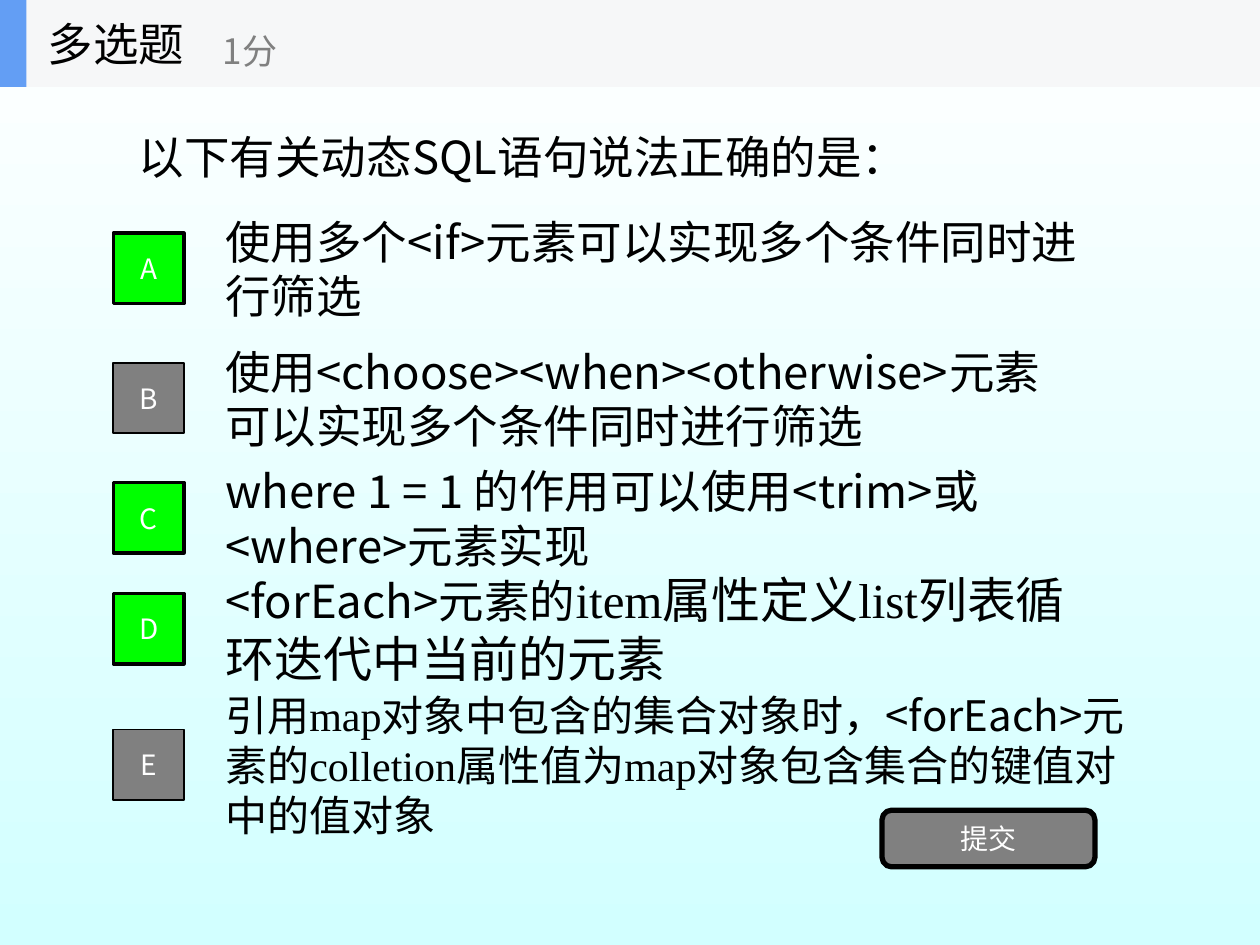
"""Build a multiple-choice question slide about dynamic SQL."""
from dataclasses import dataclass

import pptx
import pptx.dml.color
import pptx.enum.shapes
import pptx.enum.text
import pptx.oxml
import pptx.oxml.ns
import pptx.util

PX = 9144
SANS = "Noto Sans CJK SC"
SERIF = "Times New Roman"
COLOURS = {
    "black": "000000",
    "white": "FFFFFF",
    "aqua": "D2FFFF",
    "green": "00FF00",
    "grey": "808080",
    "header": "F6F7F8",
    "accent": "639EF4",
}
ALIGN = pptx.enum.text.PP_ALIGN
SHAPES = pptx.enum.shapes.MSO_SHAPE


@dataclass(frozen=True)
class Area:
    left: int
    top: int
    width: int
    height: int

    def emu(self) -> list[int]:
        return [value * PX for value in (self.left, self.top, self.width, self.height)]


@dataclass(frozen=True)
class Span:
    text: str
    size: int = 26
    font: str = SANS
    colour: str = "black"


@dataclass(frozen=True)
class Option:
    letter: str
    top: int
    correct: bool
    spans: tuple[Span, ...]
    width: int = 700


OPTIONS = (
    Option("A", 178, True, (Span("使用多个<if>元素可以实现多个条件同时进行筛选"),)),
    Option("B", 281, False, (
        Span("使用<choose><when><otherwise>元素可以实现多个条件同时进行筛选"),
    )),
    Option("C", 376, True, (Span("where 1 = 1 的作用可以使用<trim>或<where>元素实现"),)),
    Option("D", 464, True, (
        Span("<forEach>元素的"),
        Span("item属性定义list列表循环迭代中当前的元素", 28, SERIF),
    )),
    Option("E", 572, False, (
        Span("引用map对象中包含的集合对象时，", 24, SERIF),
        Span("<forEach>元素的", 24),
        Span("colletion属性值为map对象包含集合的键值对中的值对象", 24, SERIF),
    ), 757),
)


def rgb(name: str) -> pptx.dml.color.RGBColor:
    return pptx.dml.color.RGBColor.from_string(COLOURS[name])


def write(shape, spans: tuple[Span, ...], align=ALIGN.LEFT) -> None:
    frame = shape.text_frame
    frame.word_wrap = True
    frame.auto_size = pptx.enum.text.MSO_AUTO_SIZE.NONE
    frame.vertical_anchor = pptx.enum.text.MSO_ANCHOR.MIDDLE
    para = frame.paragraphs[0]
    para.alignment = align
    for span in spans:
        run = para.add_run()
        run.text = span.text
        run.font.size = pptx.util.Pt(span.size)
        run.font.color.rgb = rgb(span.colour)
        run.font.name = span.font
        east_asian = pptx.oxml.parse_xml(
            f'<a:ea {pptx.oxml.ns.nsdecls("a")} typeface="{SANS}"/>'
        )
        run.font._element.find(pptx.oxml.ns.qn("a:latin")).addnext(east_asian)


def add_text(slide, area: Area, *spans: Span) -> None:
    write(slide.shapes.add_textbox(*area.emu()), spans)


def add_block(slide, kind, area: Area, fill: str, line: int = 0, label: str = ""):
    shape = slide.shapes.add_shape(kind, *area.emu())
    shape.shadow.inherit = False
    shape.fill.solid()
    shape.fill.fore_color.rgb = rgb(fill)
    if line:
        shape.line.color.rgb = rgb("black")
        shape.line.width = pptx.util.Pt(line)
    else:
        shape.line.fill.background()
    if label:
        write(shape, (Span(label, 16, colour="white"),), ALIGN.CENTER)
    return shape


def add_option(slide, option: Option) -> None:
    add_text(slide, Area(169, option.top, option.width, 70), *option.spans)
    fill, line = ("green", 2) if option.correct else ("grey", 1)
    badge = Area(90, option.top + 7, 56, 56)
    add_block(slide, SHAPES.RECTANGLE, badge, fill, line, option.letter)


def paint_background(slide) -> None:
    fill = slide.background.fill
    fill.gradient()
    fill.gradient_angle = 270
    for stop, position, colour in zip(fill.gradient_stops, (0, 1), ("white", "aqua")):
        stop.position = position
        stop.color.rgb = rgb(colour)


def main() -> None:
    deck = pptx.Presentation()
    deck.slide_width, deck.slide_height = 1000 * PX, 750 * PX
    slide = deck.slides.add_slide(deck.slide_layouts[5])
    paint_background(slide)

    title = slide.shapes.title
    title.left, title.top, title.width, title.height = Area(100, 7, 800, 234).emu()
    write(title, (Span("以下有关动态SQL语句说法正确的是："),))

    for option in OPTIONS:
        add_option(slide, option)
    submit = add_block(
        slide, SHAPES.ROUNDED_RECTANGLE, Area(700, 643, 169, 45), "grey", 3, "提交"
    )
    submit.adjustments[0] = 0.17

    add_block(slide, SHAPES.RECTANGLE, Area(0, 0, 1000, 69), "header")
    add_block(slide, SHAPES.RECTANGLE, Area(0, 0, 21, 69), "accent")
    add_text(slide, Area(28, 0, 208, 69), Span("多选题"))
    add_text(slide, Area(167, 12, 250, 56), Span("1分", 20, colour="grey"))
    deck.save("out.pptx")


if __name__ == "__main__":
    main()
